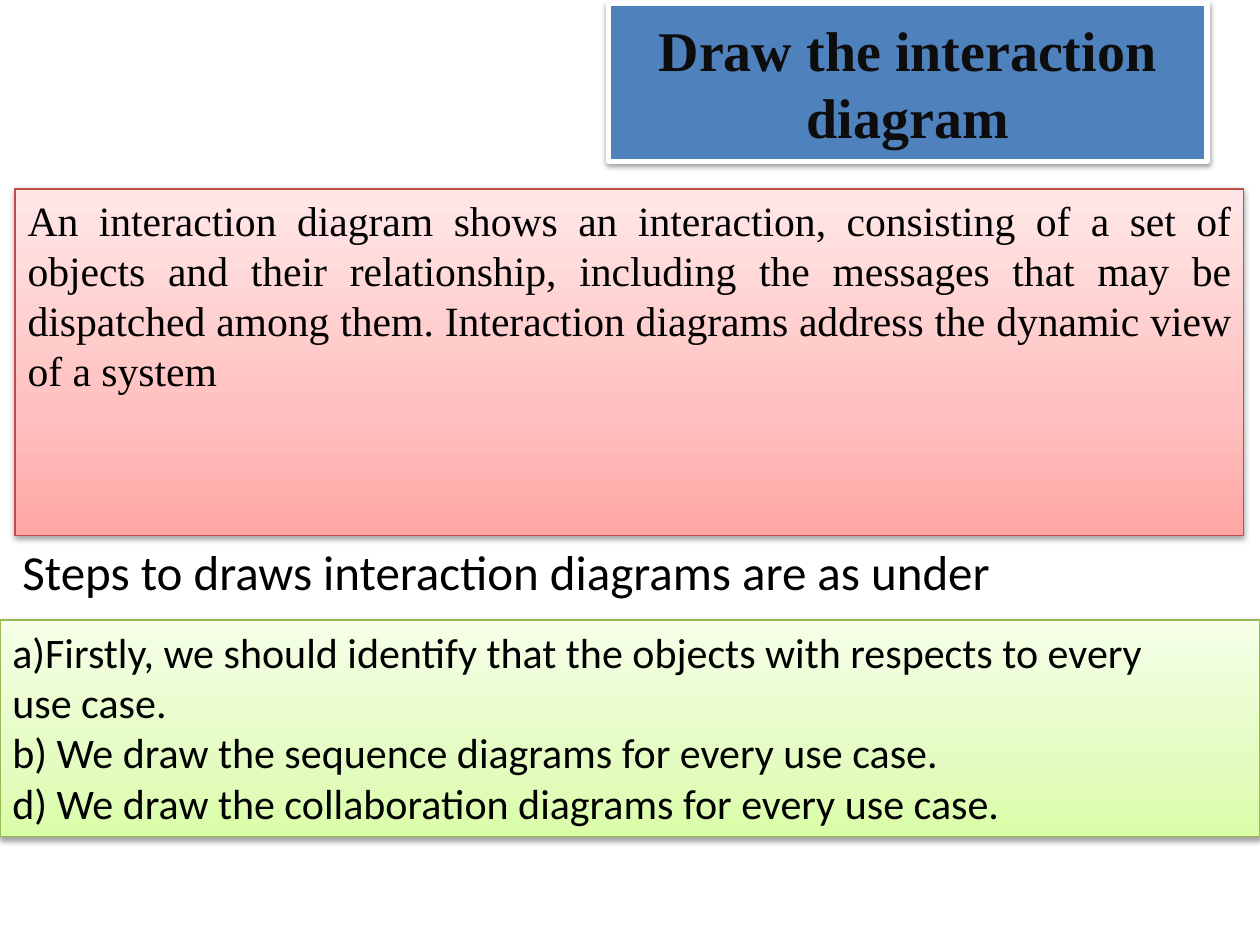
from copy import deepcopy

from lxml.etree import SubElement
from pptx import Presentation
from pptx.dml.color import RGBColor
from pptx.enum.shapes import MSO_SHAPE as Shape
from pptx.enum.text import MSO_ANCHOR as Anchor, PP_ALIGN as Align
from pptx.oxml.ns import qn
from pptx.util import Inches, Pt

COLORS = {
    "white": "FFFFFF", "black": "000000", "ink": "0D0D0D", "blue": "4F81BD",
    "red_line": "BF4C48", "green_line": "98B955",
}
GRADIENTS = {
    "red": ["FFA6A5", "FFC0BF", "FFE7E7"],
    "green": ["DAFDA7", "E4FCC2", "F5FFE7"],
}
STOPS = [0, 0.35, 1]


class SlideBuilder:
    """Holds the deck, the current page and the shared style."""

    def __init__(self, width, height):
        self.deck = Presentation()
        self.deck.slide_width = Inches(width)
        self.deck.slide_height = Inches(height)
        self.page = self.deck.slides.add_slide(self.deck.slide_layouts[6])

    def color(self, name):
        return RGBColor.from_string(COLORS[name])

    def shadow(self, box):
        box.shadow.inherit = False
        effects = box._element.spPr.find(qn("a:effectLst"))
        outer = SubElement(effects, qn("a:outerShdw"), blurRad=str(Pt(3.1)),
                           dist=str(Pt(1.6)), dir="5400000", rotWithShape="0")
        tint = SubElement(outer, qn("a:srgbClr"), val=COLORS["black"])
        SubElement(tint, qn("a:alpha"), val="38000")

    def gradient(self, box, name):
        box.fill.gradient()
        box.fill.gradient_angle = 90
        stop_list = box._element.spPr.find(qn("a:gradFill")).find(qn("a:gsLst"))
        stop_list.append(deepcopy(stop_list[0]))
        for stop, place, shade in zip(box.fill.gradient_stops, STOPS, GRADIENTS[name]):
            stop.position = place
            stop.color.rgb = RGBColor.from_string(shade)

    def fill_text(self, box, lines, size, font="Calibri", color="black", bold=False,
                  align=Align.LEFT, anchor=Anchor.TOP):
        frame = box.text_frame
        frame.word_wrap = True
        frame.vertical_anchor = anchor
        frame.text = "\n".join(lines)
        for para in frame.paragraphs:
            para.alignment = align
            for span in para.runs:
                span.font.name = font
                span.font.size = Pt(size)
                span.font.bold = bold
                span.font.color.rgb = self.color(color)

    def panel(self, place, fill, line, line_width, lines, size, **style):
        box = self.page.shapes.add_shape(Shape.RECTANGLE, *map(Inches, place))
        if fill in GRADIENTS:
            self.gradient(box, fill)
        else:
            box.fill.solid()
            box.fill.fore_color.rgb = self.color(fill)
        box.line.color.rgb = self.color(line)
        box.line.width = Pt(line_width)
        self.shadow(box)
        self.fill_text(box, lines, size, **style)

    def label(self, place, text, size):
        box = self.page.shapes.add_textbox(*map(Inches, place))
        self.fill_text(box, [text], size)


def main():
    slide = SlideBuilder(10, 7.5)
    slide.panel((4.83, 0.03, 4.75, 1.25), "blue", "white", 3,
                ["Draw the interaction diagram"], 32, font="Times New Roman",
                color="ink", bold=True, align=Align.CENTER, anchor=Anchor.MIDDLE)
    slide.panel((0.12, 1.5, 9.75, 2.75), "red", "red_line", 0.75,
                ["An interaction diagram shows an interaction, consisting of a set of "
                 "objects and their relationship, including the messages that may be "
                 "dispatched among them. Interaction diagrams address the dynamic view "
                 "of a system"], 23.8, font="Times New Roman", align=Align.JUSTIFY)
    slide.label((0.08, 4.25, 9.5, 0.57),
                "Steps to draws interaction diagrams are as under", 28)
    slide.panel((0, 4.92, 10, 1.72), "green", "green_line", 0.75,
                ["a)Firstly, we should identify that the objects with respects to every",
                 "use case.",
                 "b) We draw the sequence diagrams for every use case.",
                 "d) We draw the collaboration diagrams for every use case."], 24)
    slide.deck.save("out.pptx")


if __name__ == "__main__":
    main()
